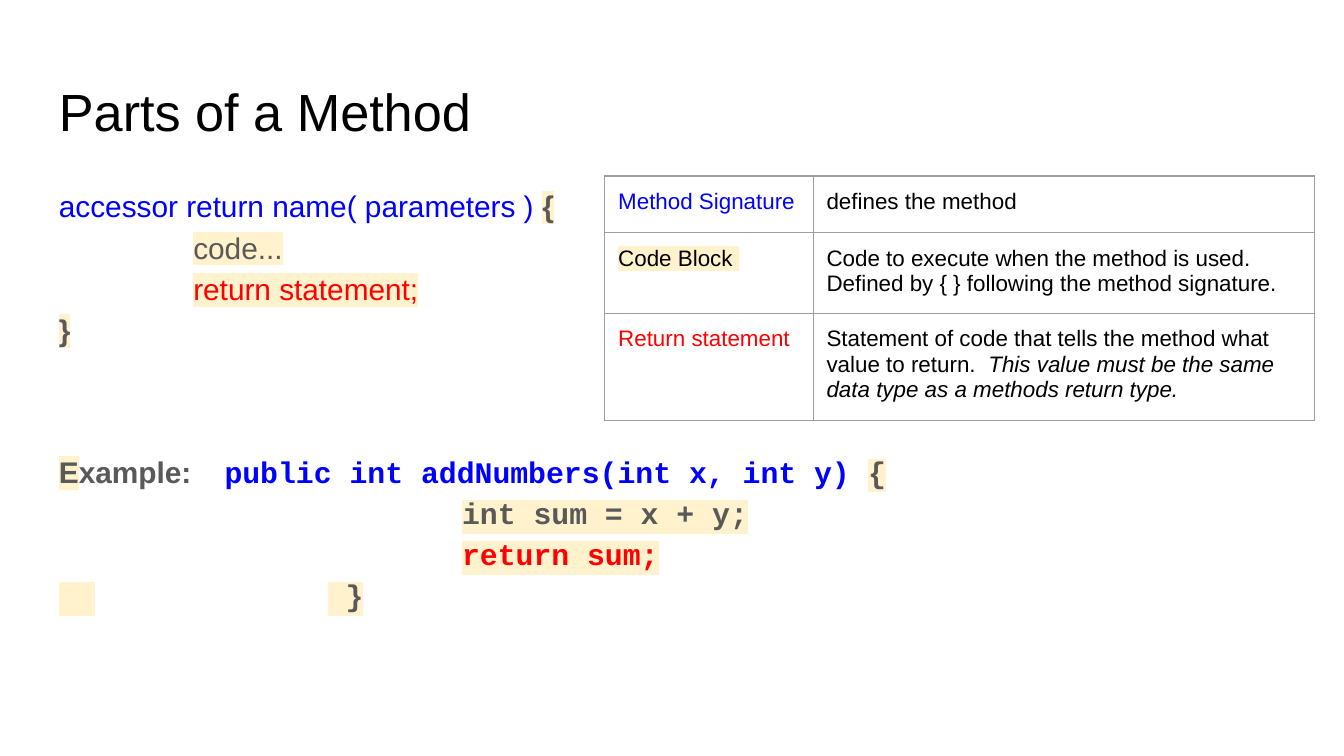
"""Build the slide "Parts of a Method" with its code example and table of terms."""
import copy

import pptx
import pptx.dml.color
import pptx.oxml
import pptx.oxml.ns
import pptx.util
from pptx.util import Inches, Pt

RGBColor = pptx.dml.color.RGBColor
BLACK = RGBColor(0x00, 0x00, 0x00)
BLUE = RGBColor(0x00, 0x00, 0xFF)
RED = RGBColor(0xFF, 0x00, 0x00)
GRAY = RGBColor(0x59, 0x59, 0x59)
CREAM = RGBColor(0xFF, 0xF2, 0xCC)
BORDER = RGBColor(0x9E, 0x9E, 0x9E)
NAMESPACE = pptx.oxml.ns.nsdecls("a")

TITLE = [("Parts of a Method", {})]

SYNTAX = [
    ("accessor return name( parameters ) ", {"color": BLUE}),
    ("{\n", {"color": GRAY, "bold": True, "highlight": CREAM}),
    ("\tcode...\n\t", {"color": GRAY, "highlight": CREAM}),
    ("return statement;\n", {"color": RED, "highlight": CREAM}),
    ("}", {"color": GRAY, "bold": True, "highlight": CREAM}),
]

CODE = {"font": "Courier New", "bold": True}
BLOCK = {**CODE, "color": GRAY, "highlight": CREAM}
EXAMPLE = [
    ("E", {"color": GRAY, "bold": True, "highlight": CREAM}),
    ("xample:    ", {"color": GRAY, "bold": True}),
    ("public int addNumbers(int x, int y) ", {**CODE, "color": BLUE}),
    ("{\n\t\t\tint sum = x + y;\n\t\t\t", BLOCK),
    ("return sum;\n", {**BLOCK, "color": RED}),
    ("  \t\t }", BLOCK),
]

TERMS = [
    ([("Method Signature", {"color": BLUE})], [("defines the method", {})]),
    (
        [("Code Block ", {"highlight": CREAM})],
        [("Code to execute when the method is used.  Defined by { } following the method signature.", {})],
    ),
    (
        [("Return statement", {"color": RED})],
        [
            ("Statement of code that tells the method what value to return.  ", {}),
            ("This value must be the same data type as a methods return type.", {"italic": True}),
        ],
    ),
]
COLUMN_WIDTHS = [1.55, 3.73]
ROW_HEIGHTS = [0.42, 0.57, 0.76]
TAB_STOPS = [1, 2, 3]


def add_span(para, text, size, color=BLACK, font="Arial", bold=False, italic=False, highlight=None):
    for index, line in enumerate(text.split("\n")):
        if index:
            para.add_line_break()
            para._p[-1].append(copy.deepcopy(properties))
        if not line:
            continue
        span = para.add_run()
        span.text = line
        span.font.size = Pt(size)
        span.font.bold = bold
        span.font.italic = italic
        span.font.color.rgb = color
        span.font.name = font
        properties = span._r.get_or_add_rPr()
        if highlight is not None:
            mark = pptx.oxml.parse_xml(
                f'<a:highlight {NAMESPACE}><a:srgbClr val="{highlight}"/></a:highlight>'
            )
            properties.find(pptx.oxml.ns.qn("a:latin")).addprevious(mark)


def fill_para(para, spans, size):
    for text, style in spans:
        add_span(para, text, size, **style)


def set_tabs(para):
    stops = "".join(f'<a:tab pos="{Inches(stop)}" algn="l"/>' for stop in TAB_STOPS)
    tabs = pptx.oxml.parse_xml(f"<a:tabLst {NAMESPACE}>{stops}</a:tabLst>")
    para._p.get_or_add_pPr().append(tabs)


def add_box(page, left, top, width, height):
    box = page.shapes.add_textbox(Inches(left), Inches(top), Inches(width), Inches(height))
    frame = box.text_frame
    frame.word_wrap = True
    frame.margin_left = frame.margin_right = Inches(0.1)
    frame.margin_top = frame.margin_bottom = Inches(0.1)
    return frame


def style_cell(cell):
    cell.margin_left = cell.margin_right = Inches(0.1)
    cell.margin_top = cell.margin_bottom = Inches(0.1)
    cell.fill.background()
    properties = cell._tc.get_or_add_tcPr()
    for index, side in enumerate(("lnL", "lnR", "lnT", "lnB")):
        line = pptx.oxml.parse_xml(
            f'<a:{side} {NAMESPACE} w="{Pt(0.75)}"><a:solidFill>'
            f'<a:srgbClr val="{BORDER}"/></a:solidFill></a:{side}>'
        )
        properties.insert(index, line)


def add_terms(page):
    frame = page.shapes.add_table(
        len(TERMS), len(COLUMN_WIDTHS), Inches(4.5), Inches(1.31),
        Inches(sum(COLUMN_WIDTHS)), Inches(sum(ROW_HEIGHTS)),
    )
    table = frame.table
    table.first_row = False
    table.horz_banding = False
    for column, width in zip(table.columns, COLUMN_WIDTHS):
        column.width = Inches(width)
    for row, height, contents in zip(table.rows, ROW_HEIGHTS, TERMS):
        row.height = Inches(height)
        for cell, spans in zip(row.cells, contents):
            style_cell(cell)
            fill_para(cell.text_frame.paragraphs[0], spans, 12)


def main():
    deck = pptx.Presentation()
    deck.slide_width = Inches(10)
    deck.slide_height = Inches(10 * 9 / 16)
    page = deck.slides.add_slide(deck.slide_layouts[6])

    title = add_box(page, 0.34, 0.49, 9.32, 0.63)
    fill_para(title.paragraphs[0], TITLE, 28)

    body = add_box(page, 0.34, 1.26, 9.5, 3.74)
    syntax, example = body.paragraphs[0], body.add_paragraph()
    example.space_before = Pt(54)
    for para, spans in ((syntax, SYNTAX), (example, EXAMPLE)):
        para.line_spacing = 1.15
        set_tabs(para)
        fill_para(para, spans, 16)

    add_terms(page)
    deck.save("out.pptx")


if __name__ == "__main__":
    main()
